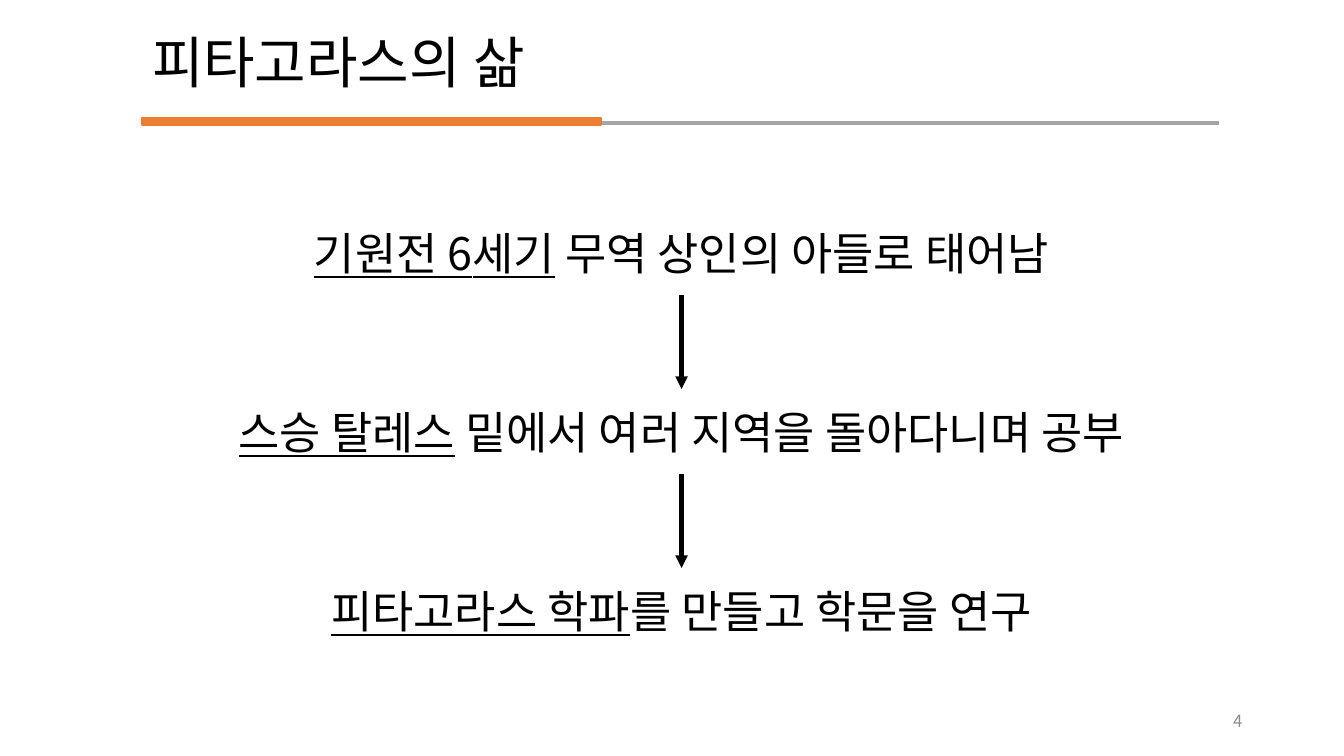
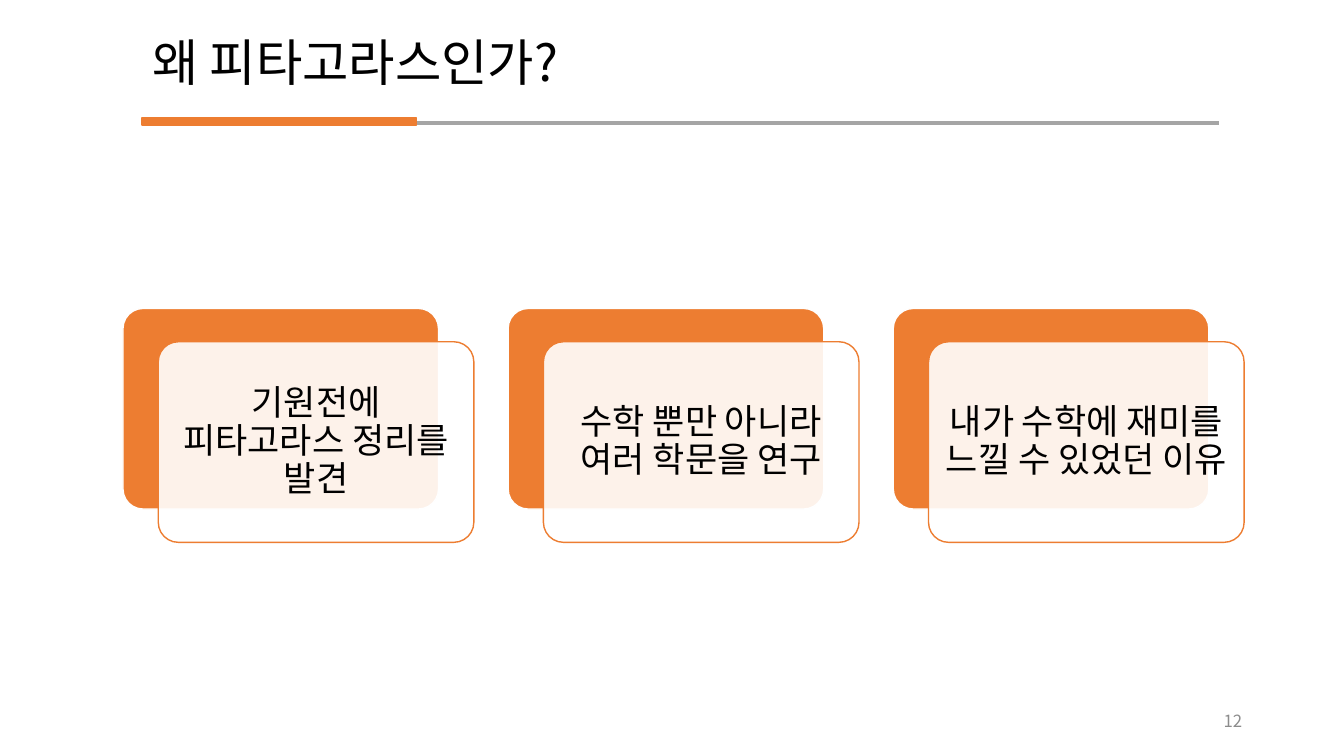
from lxml import etree
from pptx import Presentation
from pptx.dml.color import RGBColor
from pptx.enum.shapes import MSO_CONNECTOR, MSO_SHAPE
from pptx.enum.text import MSO_ANCHOR, PP_ALIGN
from pptx.oxml.ns import qn
from pptx.util import Inches, Pt

FONT = "Noto Sans CJK KR"
BLACK = RGBColor(0x00, 0x00, 0x00)
WHITE = RGBColor(0xFF, 0xFF, 0xFF)
ORANGE = RGBColor(0xED, 0x7D, 0x31)
RULE_GRAY = RGBColor(0xA5, 0xA5, 0xA5)
NUMBER_GRAY = RGBColor(0x8C, 0x8C, 0x8C)
LEFT, CENTER, RIGHT = PP_ALIGN.LEFT, PP_ALIGN.CENTER, PP_ALIGN.RIGHT
TOP, MIDDLE = MSO_ANCHOR.TOP, MSO_ANCHOR.MIDDLE
RECT, ROUNDED = MSO_SHAPE.RECTANGLE, MSO_SHAPE.ROUNDED_RECTANGLE
STRAIGHT = MSO_CONNECTOR.STRAIGHT

# Content
LIFE = {"title": "피타고라스의 삶", "title_size": 40, "title_width": 5.67,
        "accent_width": 4.55, "number": 4}
LIFE_STEPS = [  # (underlined part, rest of the sentence)
    ("기원전 6세기", " 무역 상인의 아들로 태어남"),
    ("스승 탈레스", " 밑에서 여러 지역을 돌아다니며 공부"),
    ("피타고라스 학파", "를 만들고 학문을 연구"),
]
WHY = {"title": "왜 피타고라스인가?", "title_size": 36, "title_width": 4.17,
       "accent_width": 2.72, "number": 12}
REASONS = [
    "기원전에 피타고라스 정리를 발견",
    "수학 뿐만 아니라 여러 학문을 연구",
    "내가 수학에 재미를 느낄 수 있었던 이유",
]

# Layout, in inches
MARGIN = 1.41
RULE_Y = 1.22
STEP_LEFT, STEP_TOP, STEP_WIDTH, STEP_HEIGHT, STEP_PITCH = 1.1, 2.19, 11.32, 0.64, 1.775
ARROW_GAP, ARROW_LENGTH = 0.1, 0.93
CARD_LEFT, CARD_TOP, CARD_WIDTH, CARD_HEIGHT, CARD_PITCH = 1.22, 3.06, 3.13, 1.99, 3.82
PANEL_SHIFT_X, PANEL_SHIFT_Y = 0.35, 0.33

CARD_FRAME = {"word_wrap": True, "vertical_anchor": MIDDLE,
              "margin_left": Inches(0.1), "margin_right": Inches(0.1),
              "margin_top": Inches(0.1), "margin_bottom": Inches(0.1)}
CARD_PARAGRAPH = {"alignment": CENTER, "line_spacing": 0.9, "space_after": Pt(8.75)}


def apply(target, formats):
    for name, value in formats.items():
        setattr(target, name, value)


def write(frame, runs, size, color=BLACK, frame_format=None, paragraph_format=None):
    """Fill a text frame with one paragraph of (text, underlined) runs."""
    apply(frame, frame_format or {})
    paragraph = frame.paragraphs[0]
    apply(paragraph, paragraph_format or {})
    for text, underlined in runs:
        run = paragraph.add_run()
        run.text = text
        apply(run.font, {"name": FONT, "size": Pt(size), "underline": underlined})
        run.font.color.rgb = color
        east_asian = etree.SubElement(run.font._element, qn("a:ea"))
        east_asian.set("typeface", FONT)


def add_text(slide, box, runs, size, color=BLACK, anchor=MIDDLE, **paragraph_format):
    frame = slide.shapes.add_textbox(*map(Inches, box)).text_frame
    write(frame, runs, size, color,
          {"word_wrap": True, "vertical_anchor": anchor}, paragraph_format)


def add_block(slide, kind, box, fill, outline):
    block = slide.shapes.add_shape(kind, *map(Inches, box))
    block.shadow.inherit = False
    block.fill.solid()
    block.fill.fore_color.rgb = fill
    block.line.color.rgb = outline
    block.line.width = Pt(1)
    return block


def add_line(slide, start, end, color, width, arrow=False):
    line = slide.shapes.add_connector(STRAIGHT, *map(Inches, start + end))
    line.line.color.rgb = color
    line.line.width = Pt(width)
    etree.SubElement(line._element.spPr, qn("a:effectLst"))
    if arrow:
        head = etree.SubElement(line.line._get_or_add_ln(), qn("a:tailEnd"))
        head.set("type", "triangle")


def add_slide(prs, info):
    """Blank slide with the shared title, rule, accent bar and page number."""
    slide = prs.slides.add_slide(prs.slide_layouts[6])
    add_text(slide, (MARGIN, 0.24, info["title_width"], 0.81),
             [(info["title"], False)], info["title_size"],
             alignment=LEFT, line_spacing=0.9)
    add_line(slide, (3.09, RULE_Y), (12.09, RULE_Y), RULE_GRAY, 2.25)
    add_block(slide, RECT, (MARGIN, 1.17, info["accent_width"], 0.07), ORANGE, ORANGE)
    add_text(slide, (9.42, 6.95, 3, 0.4), [(str(info["number"]), False)],
             12, NUMBER_GRAY, alignment=RIGHT)
    return slide


def build_life(prs):
    slide = add_slide(prs, LIFE)
    arrow_x = STEP_LEFT + STEP_WIDTH / 2
    for i, (key, rest) in enumerate(LIFE_STEPS):
        top = STEP_TOP + i * STEP_PITCH
        add_text(slide, (STEP_LEFT, top, STEP_WIDTH, STEP_HEIGHT),
                 [(key, True), (rest, False)], 32, anchor=TOP, alignment=CENTER)
        # Arrow down to the next step
        if i < len(LIFE_STEPS) - 1:
            start = top + STEP_HEIGHT + ARROW_GAP
            add_line(slide, (arrow_x, start), (arrow_x, start + ARROW_LENGTH),
                     BLACK, 3, arrow=True)


def build_why(prs):
    slide = add_slide(prs, WHY)
    for i, reason in enumerate(REASONS):
        left = CARD_LEFT + i * CARD_PITCH
        # Orange card behind, translucent white panel in front
        back = add_block(slide, ROUNDED, (left, CARD_TOP, CARD_WIDTH, CARD_HEIGHT),
                         ORANGE, WHITE)
        panel = add_block(slide, ROUNDED,
                          (left + PANEL_SHIFT_X, CARD_TOP + PANEL_SHIFT_Y,
                           CARD_WIDTH, CARD_HEIGHT), WHITE, ORANGE)
        for card in (back, panel):
            card.adjustments[0] = 0.1
        panel_color = panel._element.spPr.find(qn("a:solidFill"))[0]
        etree.SubElement(panel_color, qn("a:alpha")).set("val", "90000")
        write(panel.text_frame, [(reason, False)], 25,
              frame_format=CARD_FRAME, paragraph_format=CARD_PARAGRAPH)


def main():
    prs = Presentation()
    prs.slide_width, prs.slide_height = Inches(13.33), Inches(7.5)
    build_life(prs)
    build_why(prs)
    prs.save("out.pptx")


if __name__ == "__main__":
    main()
